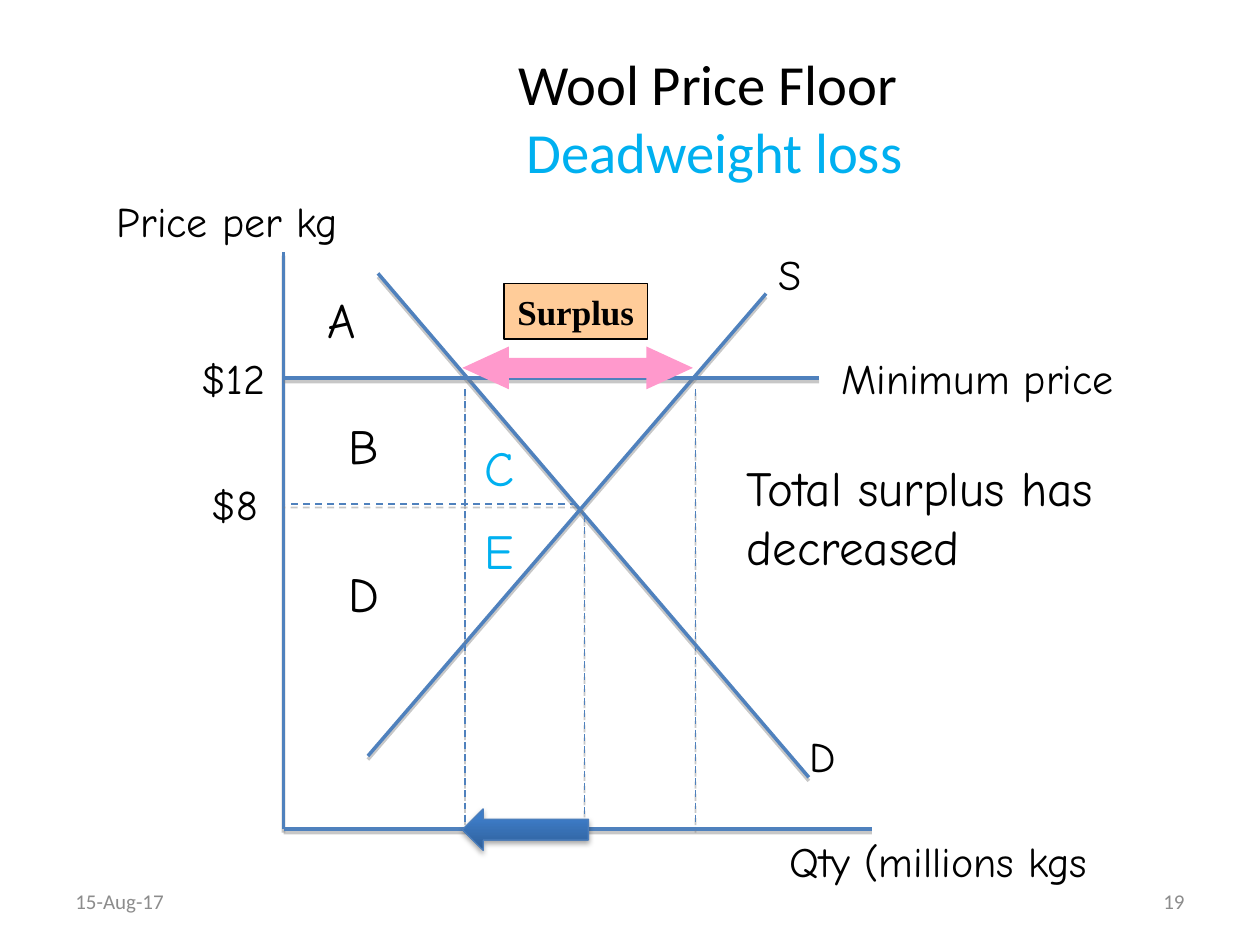
"""Draw the wool price floor diagram with its deadweight loss."""
from lxml.etree import SubElement
from pptx import Presentation
from pptx.dml.color import RGBColor
from pptx.enum.dml import MSO_LINE
from pptx.enum.shapes import MSO_CONNECTOR, MSO_SHAPE
from pptx.enum.text import MSO_ANCHOR, MSO_AUTO_SIZE, PP_ALIGN
from pptx.oxml.ns import qn
from pptx.util import Inches, Pt

THEME = {
    "ink": "000000", "loss": "00B0F0", "line": "4F81BD", "edge": "4B7EBC",
    "grey": "8C8C8C", "pink": "FF99CC", "peach": "FFCC99",
    "dark": "2F5F99", "light": "3D7CC7", "shade": "808080",
    "hand": "Comic Neue", "plain": "Calibri", "serif": "Times New Roman",
    "title": 32.4, "area": 28, "label": 24, "tag": 20, "foot": 12,
}
TITLE = [("Wool Price Floor ", "ink"), ("Deadweight loss", "loss")]
BASE, FLOOR, AXIS = 6.58, 3, 2.25
SOLID = [
    (AXIS, 2, AXIS, BASE), (AXIS, BASE, 6.92, BASE),
    (3, 2.17, 6.42, 6.17), (6.08, 2.33, 2.92, 6),
    (AXIS, FLOOR, 6.5, FLOOR),
]
DASHED = [(4.58, 4, AXIS, 4), (4.64, 4.09, 4.64, BASE)] + [
    (x, FLOOR + 0.09, x, BASE) for x in (3.69, 5.52)]
LABELS = [
    ("$8", 1.58, 3.75, 0.64), ("$12", 1.5, 2.75, 0.79),
    ("Price per kg", 0.83, 1.5, 2.08), ("Minimum price", 6.58, 2.75, 2.46),
    ("S", 6.08, 1.92, 0.44), ("D", 6.33, 5.75, 0.44),
    ("Qty (millions kgs", 6.17, 6.58, 2.83),
]
AREAS = [
    ("A", 2.5, 2.25, 0.49, "ink"), ("B", 2.67, 3.25, 0.45, "ink"),
    ("C", 3.75, 3.42, 0.57, "loss"), ("D", 2.67, 4.42, 0.49, "ink"),
    ("E", 3.75, 4.08, 0.45, "loss"),
]
NOTE = "Total surplus has decreased"
FOOT = [("15-Aug-17", 0.5, PP_ALIGN.LEFT), ("19", 7.17, PP_ALIGN.RIGHT)]
SPAN = {"left": 3.67, "right": 5.5, "mid": 2.92, "head": 0.37,
        "half": 0.17, "stem": 0.08}


def tint(name):
    return RGBColor.from_string(THEME[name])


def place(shape, *box):
    shape.left, shape.top, shape.width, shape.height = map(Inches, box)


def style(font, size, face, color="ink"):
    font.size, font.name = Pt(THEME[size]), THEME[face]
    font.color.rgb = tint(color)


def shade(shape, color, alpha, blur, dist):
    props = shape._element.spPr
    for old in props.findall(qn("a:effectLst")):
        props.remove(old)
    glow = SubElement(SubElement(props, qn("a:effectLst")), qn("a:outerShdw"),
                      blurRad=str(Pt(blur)), dist=str(Pt(dist)),
                      dir="5400000", rotWithShape="0")
    hue = SubElement(glow, qn("a:srgbClr"), val=THEME[color])
    SubElement(hue, qn("a:alpha"), val=str(alpha * 1000))


def rule(slide, ends, width, dash=None):
    line = slide.shapes.add_connector(
        MSO_CONNECTOR.STRAIGHT, *map(Inches, ends))
    line.line.color.rgb, line.line.width = tint("line"), Pt(width)
    if dash:
        line.line.dash_style = dash
    shade(line, "shade", 43, 0, 2)


def write(slide, text, box, size, face="hand", color="ink", wrap=False):
    shape = slide.shapes.add_textbox(*map(Inches, box))
    frame = shape.text_frame
    frame.text, frame.word_wrap = text, wrap
    frame.auto_size = MSO_AUTO_SIZE.SHAPE_TO_FIT_TEXT
    style(frame.paragraphs[0].font, size, face, color)
    return frame


def head(slide):
    shape = slide.shapes.title
    place(shape, 1.57, 0.3, 8.2, 1.25)
    frame = shape.text_frame
    frame.auto_size = MSO_AUTO_SIZE.NONE
    frame.vertical_anchor = MSO_ANCHOR.MIDDLE
    para = frame.paragraphs[0]
    para.alignment = PP_ALIGN.CENTER
    for i, (text, color) in enumerate(TITLE):
        if i:
            para.add_line_break()
        run = para.add_run()
        run.text = text
        style(run.font, "title", "plain", color)


def span(slide):
    left, right, mid, tip, half, stem = SPAN.values()
    near, far = left + tip, right - tip
    points = [(left, mid), (near, mid + half), (near, mid + stem),
              (far, mid + stem), (far, mid + half), (right, mid),
              (far, mid - half), (far, mid - stem),
              (near, mid - stem), (near, mid - half)]
    points = [(Inches(x), Inches(y)) for x, y in points]
    pen = slide.shapes.build_freeform(*points[0])
    pen.add_line_segments(points[1:], close=True)
    arrow = pen.convert_to_shape()
    arrow.shadow.inherit = False
    arrow.fill.solid()
    arrow.fill.fore_color.rgb = tint("pink")
    arrow.line.fill.background()


def tag(slide):
    box = slide.shapes.add_shape(
        MSO_SHAPE.RECTANGLE, *map(Inches, (4, 2.25, 1.14, 0.44)))
    box.shadow.inherit = False
    box.fill.solid()
    box.fill.fore_color.rgb = tint("peach")
    box.line.color.rgb, box.line.width = tint("ink"), Pt(1)
    frame = box.text_frame
    frame.text, frame.word_wrap = "Surplus", False
    frame.auto_size = MSO_AUTO_SIZE.SHAPE_TO_FIT_TEXT
    para = frame.paragraphs[0]
    para.alignment, para.font.bold = PP_ALIGN.CENTER, True
    style(para.font, "tag", "serif")


def shift(slide):
    arrow = slide.shapes.add_shape(
        MSO_SHAPE.LEFT_ARROW, *map(Inches, (3.67, 6.42, 1, 0.33)))
    arrow.fill.gradient()
    arrow.fill.gradient_angle = 90
    for stop, color, at in zip(
            arrow.fill.gradient_stops, ("dark", "light"), (0, 0.8)):
        stop.color.rgb, stop.position = tint(color), at
    arrow.line.color.rgb, arrow.line.width = tint("edge"), Pt(0.75)
    shade(arrow, "ink", 35, 3.1, 1.8)


def main():
    deck = Presentation()
    deck.slide_width, deck.slide_height = Inches(10), Inches(7.5)
    slide = deck.slides.add_slide(deck.slide_layouts[5])
    head(slide)
    for ends in SOLID:
        rule(slide, ends, 2)
    for ends in DASHED:
        rule(slide, ends, 1, MSO_LINE.DASH)
    for text, x, y, width in LABELS:
        write(slide, text, (x, y, width, 0.51), "label")
    span(slide)
    tag(slide)
    for text, x, y, width, color in AREAS:
        write(slide, text, (x, y, width, 0.57), "area", color=color)
    write(slide, NOTE, (5.83, 3.58, 3.67, 1.04), "area", wrap=True)
    shift(slide)
    for text, x, side in FOOT:
        frame = write(slide, text, (x, 6.95, 2.33, 0.4), "foot",
                      "plain", "grey", True)
        frame.auto_size = MSO_AUTO_SIZE.NONE
        frame.vertical_anchor = MSO_ANCHOR.MIDDLE
        frame.paragraphs[0].alignment = side
    deck.save("out.pptx")


if __name__ == "__main__":
    main()
